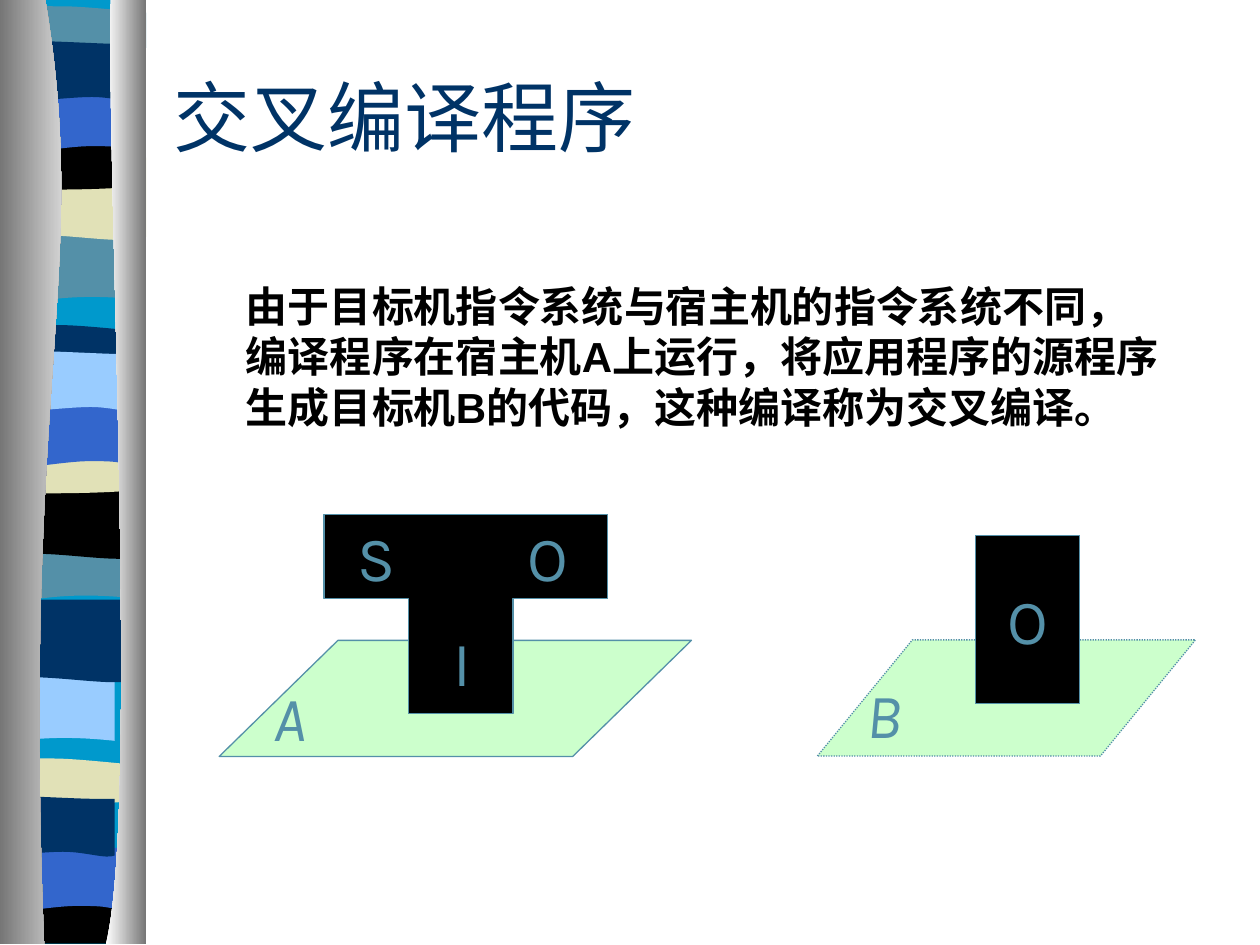
from collections import namedtuple

from lxml import etree
from pptx import Presentation
from pptx.dml.color import RGBColor
from pptx.enum.dml import MSO_LINE
from pptx.enum.shapes import MSO_SHAPE
from pptx.enum.text import MSO_ANCHOR, PP_ALIGN
from pptx.oxml.ns import qn
from pptx.util import Cm, Pt

PARALLELOGRAM = MSO_SHAPE.PARALLELOGRAM
RECTANGLE = MSO_SHAPE.RECTANGLE
DOTTED = MSO_LINE.ROUND_DOT
MIDDLE = MSO_ANCHOR.MIDDLE
CENTER = PP_ALIGN.CENTER

BLACK = RGBColor(0x00, 0x00, 0x00)
WHITE = RGBColor(0xFF, 0xFF, 0xFF)
GREY = RGBColor(0x76, 0x76, 0x76)
NAVY = RGBColor(0x00, 0x33, 0x66)
BLUE = RGBColor(0x33, 0x66, 0xCC)
SKY = RGBColor(0x99, 0xCC, 0xFF)
CYAN = RGBColor(0x00, 0x99, 0xCC)
TEAL = RGBColor(0x54, 0x90, 0xA8)
SAND = RGBColor(0xE1, 0xE1, 0xB7)
MINT = RGBColor(0xCC, 0xFF, 0xCC)

Box = namedtuple("Box", "left top width height")

RIBBON_UNIT = 0.0254

BANDS = {
    "wave": [(108, 0), (108, 53), (33, 45, 18, 61, 0, 53), (0, 0)],
    "slope": [(108, -9), (108, 54), (90, 62, 33, 48, 0, 54), (0, -9)],
    "cap": [(108, 1), (108, 29), (90, 33, 18, 33, 0, 29), (0, 1),
            (7, -5, 24, -4, 42, -4), (60, -4, 94, 0, 108, 1)],
    "dip": [(108, 0), (108, 39), (90, 43, 18, 43, 0, 42), (0, 0),
            (66, 5, 86, 0, 108, 0)],
    "foot": [(108, 0), (108, 37), (0, 37), (0, 0), (66, 5, 86, 0, 108, 0)],
    "arch": [(108, 0), (108, 52), (91, 46, 84, 46, 66, 46),
             (48, 46, 16, 52, 0, 52), (0, 0)],
    "swell": [(108, -1), (108, 44), (101, 47, 85, 41, 67, 41),
              (49, 41, 11, 46, 0, 44), (0, -3), (15, -5, 74, -1, 92, -1),
              (110, -1, 105, -1, 108, -1)],
}

RIBBON = [
    ("wave", 5, 185, TEAL), ("slope", 8, 134, SAND), ("cap", 8, 9, TEAL),
    ("dip", 5, 108, BLACK), ("arch", 6, 70, BLUE), ("swell", 6, 36, NAVY),
    ("wave", 0, 422, TEAL), ("slope", 5, 387, BLACK), ("cap", 5, 262, NAVY),
    ("dip", 5, 349, SAND), ("arch", 5, 320, BLUE), ("swell", 5, 282, SKY),
    ("wave", -17, 535, SKY), ("slope", 2, 485, NAVY), ("cap", 0, 606, SAND),
    ("foot", 1, 712, BLACK), ("arch", -5, 673, BLUE), ("swell", -17, 635, NAVY),
]

RIBBON_BASE = [(114, 0), (114, 749), (6, 749), (6, 0)]
CURTAINS = [
    ([(36, 0), (72, 217, 17, 297, 35, 749), (0, 749), (0, 0)], GREY, WHITE),
    ([(88, 0), (84, 125, 111, 646, 84, 749), (116, 749), (116, 0)], WHITE, GREY),
]

T_OUTLINE = [(0, 0), (0, 1.7), (1.7, 1.7), (1.7, 4.01),
             (3.81, 4.01), (3.81, 1.7), (5.72, 1.7), (5.72, 0)]


def bend(outline, segments):
    lines = iter(list(outline.element.iter(qn("a:lnTo"))))
    for segment in segments[1:]:
        first = next(lines)
        if len(segment) == 6:
            first.tag = qn("a:cubicBezTo")
            for line in (next(lines), next(lines)):
                first.append(line[0])
                line.getparent().remove(line)


def add_outline(page, segments, left, top, unit=1):
    corners = [(Cm(left + x * unit), Cm(top + y * unit))
               for segment in segments
               for x, y in zip(segment[::2], segment[1::2])]
    builder = page.shapes.build_freeform(*corners[0])
    builder.add_line_segments(corners[1:], close=True)
    outline = builder.convert_to_shape()
    bend(outline, segments)
    outline.shadow.inherit = False
    outline.line.fill.background()
    return outline


def paint(shape, fill, line=None):
    shape.shadow.inherit = False
    shape.fill.solid()
    shape.fill.fore_color.rgb = fill
    if line is not None:
        shape.line.color.rgb = line
        shape.line.width = Pt(0.75)


def style(para, font_name, size, color, bold=False, italic=False):
    for span in para.runs:
        font = span.font
        font.name, font.size, font.bold, font.italic = font_name, Pt(size), bold, italic
        font.color.rgb = color


def add_text(page, box, text):
    text_box = page.shapes.add_textbox(*map(Cm, box))
    text_box.text_frame.word_wrap = True
    text_box.text_frame.text = text
    return text_box.text_frame


def letter(frame, text, italic=False):
    frame.text = text
    frame.word_wrap = False
    frame.vertical_anchor = MIDDLE
    para = frame.paragraphs[0]
    para.alignment = CENTER
    style(para, "Karla", 36, TEAL, italic=italic)


def add_label(page, text, x, y, italic=False):
    width, height = 1.2, 1.78
    frame = add_text(page, Box(x - width / 2, y - height / 2, width, height), text)
    letter(frame, text, italic)


def add_platform(page, box, slant):
    platform = page.shapes.add_shape(PARALLELOGRAM, *map(Cm, box))
    platform.adjustments[0] = slant
    paint(platform, MINT, TEAL)
    return platform


def add_ribbon(page, box):
    base = add_outline(page, RIBBON_BASE, box.left, box.top, RIBBON_UNIT)
    paint(base, CYAN)
    for name, x, y, color in RIBBON:
        band = add_outline(page, BANDS[name], box.left + x * RIBBON_UNIT,
                           box.top + y * RIBBON_UNIT, RIBBON_UNIT)
        paint(band, color)
    for segments, start, end in CURTAINS:
        curtain = add_outline(page, segments, box.left, box.top, RIBBON_UNIT)
        curtain.fill.gradient()
        curtain.fill.gradient_angle = 0
        for stop, color in zip(curtain.fill.gradient_stops, (start, end)):
            stop.color.rgb = color


def add_title(page, box):
    frame = add_text(page, box, "交叉编译程序")
    frame.vertical_anchor = MIDDLE
    style(frame.paragraphs[0], "Times New Roman", 44, NAVY)


def add_body(page, box):
    frame = add_text(page, box, "由于目标机指令系统与宿主机的指令系统不同，\v"
                     "编译程序在宿主机A上运行，将应用程序的源程序"
                     "生成目标机B的代码，这种编译称为交叉编译。")
    para = frame.paragraphs[0]
    properties = para._p.get_or_add_pPr()
    properties.set("marL", str(Cm(1.04)))
    properties.set("indent", "0")
    etree.SubElement(properties, qn("a:buNone"))
    style(para, "Arial", 24, BLACK, bold=True)


def add_host(page, box):
    add_platform(page, Box(box.left, box.top + 2.54, box.width, box.height - 2.54), 1.023)
    compiler = add_outline(page, T_OUTLINE, box.left + 2.11, box.top)
    paint(compiler, BLACK, TEAL)
    for text, x, y in (("S", 3.14, 0.84), ("O", 6.56, 0.84), ("I", 4.91, 2.97)):
        add_label(page, text, box.left + x, box.top + y)
    add_label(page, "A", box.left + 1.43, box.top + 4.07, italic=True)


def add_target(page, box):
    platform = add_platform(
        page, Box(box.left, box.top + 2.1, box.width, box.height - 2.1), 0.818)
    platform.line.dash_style = DOTTED
    program = page.shapes.add_shape(
        RECTANGLE, Cm(box.left + 3.18), Cm(box.top), Cm(2.11), Cm(3.38))
    paint(program, BLACK, TEAL)
    letter(program.text_frame, "O")
    add_label(page, "B", box.left + 1.34, box.top + 3.58, italic=True)


def main():
    deck = Presentation()
    deck.slide_width, deck.slide_height = Cm(25.4), Cm(19.05)
    page = deck.slides.add_slide(deck.slide_layouts[6])
    add_ribbon(page, Box(0, 0, 2.95, 19.05))
    add_title(page, Box(3.25, 1.27, 21.59, 2.11))
    add_body(page, Box(3.67, 5.53, 20.42, 3.81))
    add_host(page, Box(4.42, 10.37, 9.52, 4.88))
    add_target(page, Box(16.48, 10.8, 7.62, 4.44))
    deck.save("out.pptx")


if __name__ == "__main__":
    main()
